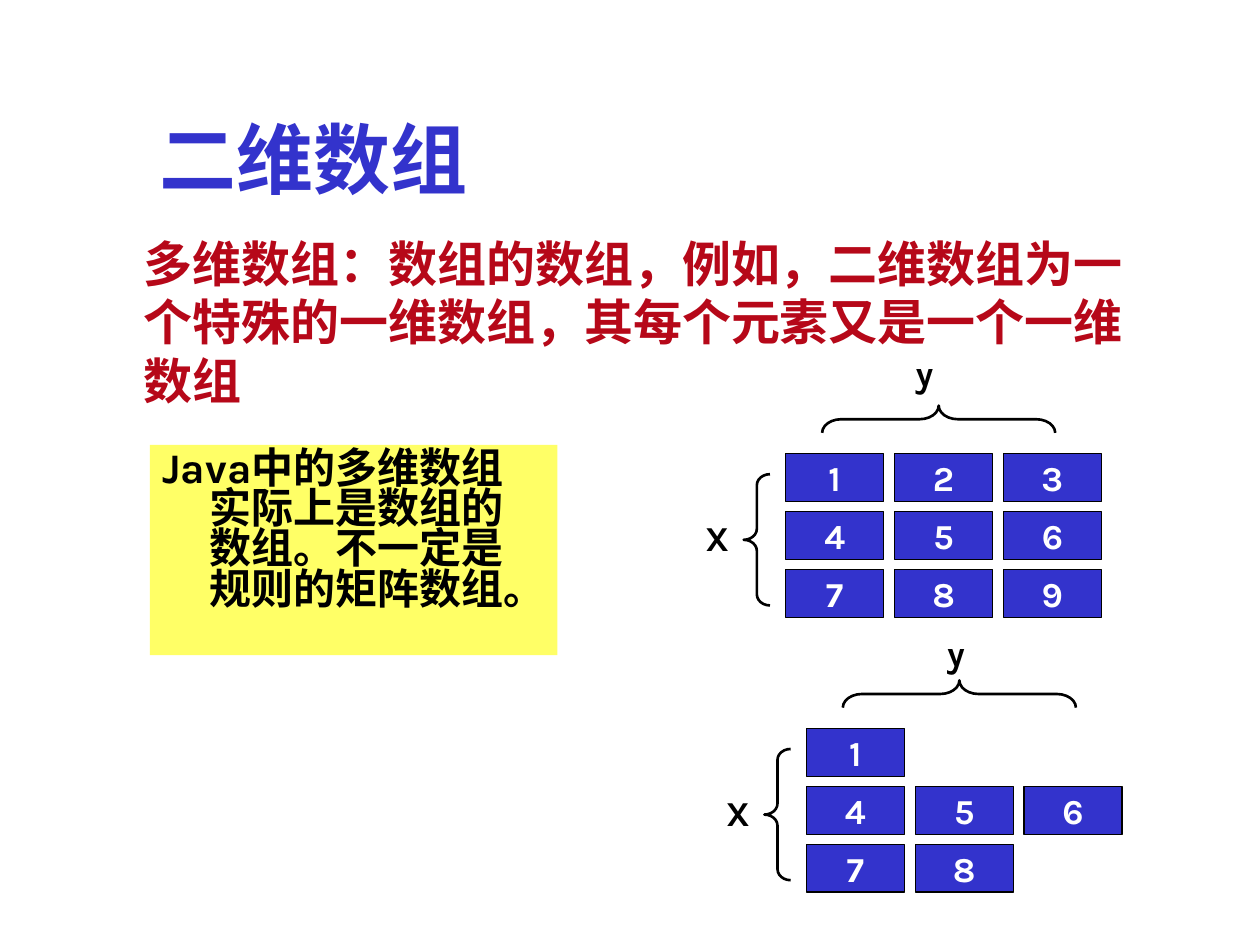
"""Build the slide on two-dimensional arrays with a regular and a ragged grid."""
from lxml.etree import SubElement
from pptx import Presentation
from pptx.dml.color import RGBColor
from pptx.enum.shapes import MSO_SHAPE as Shape
from pptx.enum.text import MSO_ANCHOR as Anchor, MSO_AUTO_SIZE as AutoSize, PP_ALIGN as Align
from pptx.oxml.ns import qn
from pptx.util import Pt

BLUE = RGBColor(0x33, 0x33, 0xCC)
RED = RGBColor(0xB6, 0x08, 0x19)
YELLOW = RGBColor(0xFF, 0xFF, 0x66)
BLACK = RGBColor(0, 0, 0)
WHITE = RGBColor(0xFF, 0xFF, 0xFF)

HEADING = "二维数组"
DEFINITION = "多维数组：数组的数组，例如，二维数组为一个特殊的一维数组，其每个元素又是一个一维数组"
NOTE = "Java中的多维数组实际上是数组的数组。不一定是规则的矩阵数组。"
GRIDS = [
    {"left": 449, "top": 259.2, "y_label": (67.2, -62),
     "rows": [["1", "2", "3"], ["4", "5", "6"], ["7", "8", "9"]]},
    {"left": 460.8, "top": 416.2, "y_label": (73.4, -59),
     "rows": [["1"], ["4", "5", "6"], ["7", "8"]]},
]

HEADING_FONT = {"name": "Times New Roman", "size": Pt(44), "bold": True}
DEFINITION_FONT = {"name": "Times New Roman", "size": Pt(28), "bold": True}
NOTE_FONT = {"name": "Karla", "size": Pt(24), "bold": True}
GRID_FONT = {"name": "Karla", "size": Pt(20), "bold": True}

CELL_WIDTH, CELL_HEIGHT = 56, 27.4
COLUMN_STEP, ROW_STEP = 62.2, 33.1
X_LABEL = (-53, 32.6)
BRACES = [
    {"box": (-24, 11.8, 15, 75), "rotation": 0, "curve": 0.42},
    {"box": (79.6, -86.2, 15.6, 133.2), "rotation": 90, "curve": 0.7},
]


def points(*values):
    return [Pt(round(value, 2)) for value in values]


def write(frame, text, font, color, align=Align.LEFT, spacing=1.0):
    frame.text = text
    paragraph = frame.paragraphs[0]
    layout = {"alignment": align, "line_spacing": spacing, "space_before": Pt(0)}
    for key, value in layout.items():
        setattr(paragraph, key, value)
    for key, value in font.items():
        setattr(paragraph.runs[0].font, key, value)
    paragraph.runs[0].font.color.rgb = color
    return paragraph


def indent(paragraph, left, first):
    properties = paragraph._p.get_or_add_pPr()
    properties.set("marL", str(Pt(left)))
    properties.set("indent", str(Pt(first)))
    SubElement(properties, qn("a:buNone"))


def place(holder, left, top, width, height):
    box = dict(zip(("left", "top", "width", "height"), points(left, top, width, height)))
    for key, value in box.items():
        setattr(holder, key, value)
    holder.text_frame.auto_size = AutoSize.NONE


def add_box(shapes, box, fill):
    shape = shapes.add_shape(Shape.RECTANGLE, *points(*box))
    shape.shadow.inherit = False
    shape.fill.solid()
    shape.fill.fore_color.rgb = fill
    return shape


def outline(shape, width):
    shape.line.color.rgb = BLACK
    shape.line.width = Pt(width)


def add_cell(shapes, left, top, number):
    cell = add_box(shapes, (left, top, CELL_WIDTH, CELL_HEIGHT), BLUE)
    outline(cell, 0.75)
    frame = cell.text_frame
    frame.word_wrap = False
    frame.vertical_anchor = Anchor.MIDDLE
    write(frame, number, GRID_FONT, WHITE, Align.CENTER)


def add_label(shapes, left, top, text):
    frame = shapes.add_textbox(*points(left, top, 27, 31.5)).text_frame
    frame.word_wrap = False
    frame.auto_size = AutoSize.SHAPE_TO_FIT_TEXT
    write(frame, text, GRID_FONT, BLACK)


def add_brace(shapes, left, top, brace):
    x, y, width, height = brace["box"]
    shape = shapes.add_shape(Shape.LEFT_BRACE, *points(left + x, top + y, width, height))
    shape.shadow.inherit = False
    shape.rotation = brace["rotation"]
    shape.adjustments[0] = brace["curve"]
    shape.fill.background()
    outline(shape, 1.5)


def add_grid(shapes, grid):
    left, top = grid["left"], grid["top"]
    for row, numbers in enumerate(grid["rows"]):
        for column, number in enumerate(numbers):
            add_cell(shapes, left + column * COLUMN_STEP, top + row * ROW_STEP, number)
    for brace in BRACES:
        add_brace(shapes, left, top, brace)
    for text, (x, y) in (("X", X_LABEL), ("y", grid["y_label"])):
        add_label(shapes, left + x, top + y, text)


def main():
    deck = Presentation()
    deck.slide_width, deck.slide_height = points(720, 540)
    slide = deck.slides.add_slide(deck.slide_layouts[1])
    shapes = slide.shapes

    heading = shapes.title
    place(heading, 84, 30, 612, 90)
    heading.text_frame.vertical_anchor = Anchor.BOTTOM
    write(heading.text_frame, HEADING, HEADING_FONT, BLUE)

    definition = slide.placeholders[1]
    place(definition, 48, 129.6, 612, 394.6)
    indent(write(definition.text_frame, DEFINITION, DEFINITION_FONT, RED), 27, 0)

    note = add_box(shapes, (85.7, 254.2, 232.8, 120.2), YELLOW)
    note.line.fill.background()
    note.text_frame.word_wrap = True
    note.text_frame.vertical_anchor = Anchor.TOP
    indent(write(note.text_frame, NOTE, NOTE_FONT, BLACK, spacing=0.8), 27, -27)

    for grid in GRIDS:
        add_grid(shapes, grid)
    deck.save("out.pptx")


if __name__ == "__main__":
    main()
